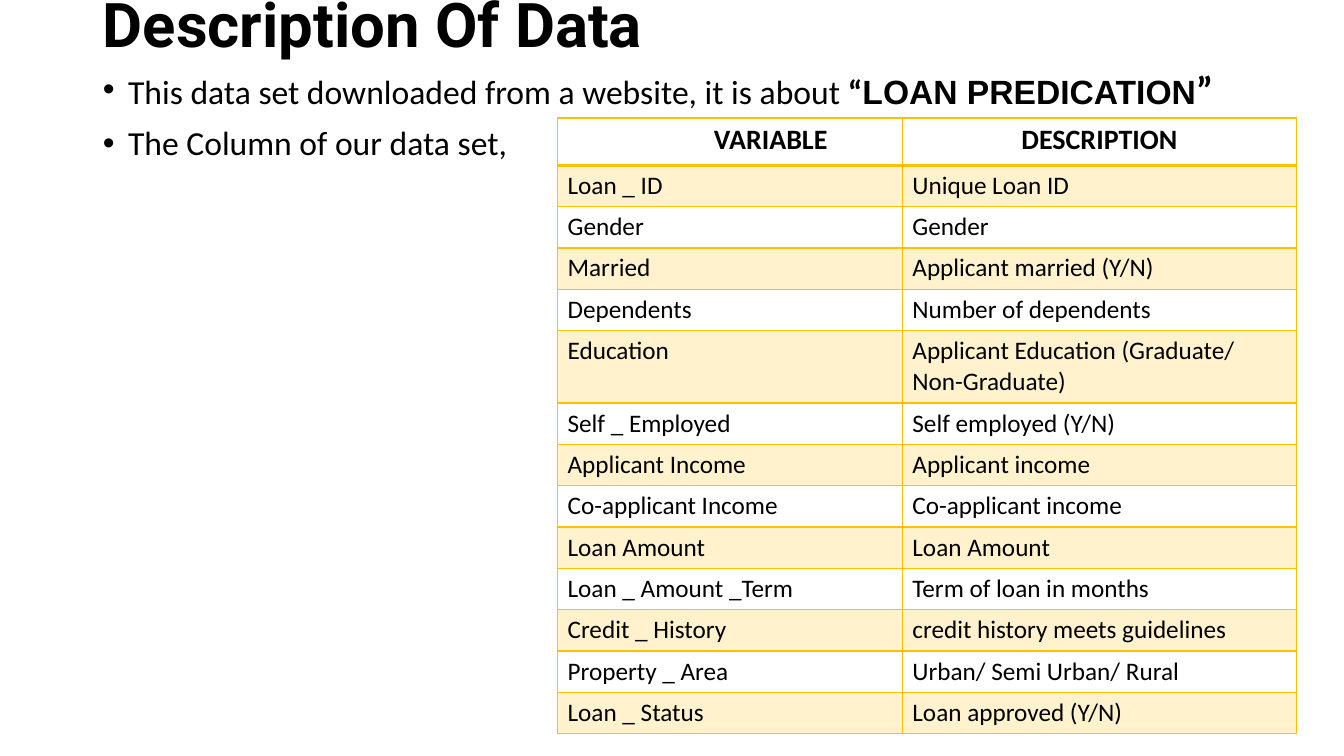
import pptx
import pptx.util
import pptx.dml.color
import pptx.enum.text
import pptx.oxml
import pptx.oxml.ns

Inches, Pt = pptx.util.Inches, pptx.util.Pt
ALIGN = pptx.enum.text.PP_ALIGN
ANCHOR = pptx.enum.text.MSO_ANCHOR
COLORS = {"text": "000000", "border": "FFC000", "band": "FFF2CC"}


def add_run(p, text, size, bold=False, font="Calibri"):
    r = p.add_run()
    r.text = text
    r.font.size = Pt(size)
    r.font.bold = bold
    r.font.name = font
    r.font.color.rgb = pptx.dml.color.RGBColor.from_string(COLORS["text"])


def set_borders(cell, top, bottom):
    tcPr = cell._tc.get_or_add_tcPr()
    widths = {"lnL": 1, "lnR": 1, "lnT": top, "lnB": bottom}
    for i, (side, width) in enumerate(widths.items()):
        tcPr.insert(i, pptx.oxml.parse_xml(
            f'<a:{side} {pptx.oxml.ns.nsdecls("a")} w="{Pt(width)}"><a:solidFill>'
            f'<a:srgbClr val="{COLORS["border"]}"/></a:solidFill></a:{side}>'))


prs = pptx.Presentation()
prs.slide_width, prs.slide_height = Inches(13.33), Inches(7.5)
s = prs.slides.add_slide(prs.slide_layouts[1])
title, body = s.placeholders

# Title and body frames
for sp, top, height, anchor in ((title, -0.11, 0.76, ANCHOR.MIDDLE),
                                (body, 0.65, 6.45, ANCHOR.TOP)):
    sp.left, sp.top = Inches(0.92), Inches(top)
    sp.width, sp.height = Inches(11.5), Inches(height)
    sp.text_frame.auto_size = pptx.enum.text.MSO_AUTO_SIZE.NONE
    sp.text_frame.vertical_anchor = anchor

# Title text
p = title.text_frame.paragraphs[0]
p.alignment = ALIGN.LEFT
p.line_spacing = 0.9
add_run(p, "Description Of Data", 44, True, "Roboto")

# Bulleted list
bullets = [
    [("This data set downloaded from a website, it is about ", 24),
     ("“", 24, True),
     ("LOAN PREDICATION", 24, True, "Arial"),
     ("”", 28, True)],
    [("The Column of our data set,", 24)],
]
tf = body.text_frame
for i, runs in enumerate(bullets):
    p = tf.add_paragraph() if i else tf.paragraphs[0]
    p.line_spacing = 0.9
    p.space_before = Pt(10)
    pPr = p._p.get_or_add_pPr()
    pPr.set("marL", str(Inches(0.25)))
    pPr.set("indent", str(Inches(-0.25)))
    pPr.append(pptx.oxml.parse_xml(
        f'<a:buFont {pptx.oxml.ns.nsdecls("a")} typeface="Arial"/>'))
    pPr.append(pptx.oxml.parse_xml(
        f'<a:buChar {pptx.oxml.ns.nsdecls("a")} char="•"/>'))
    for run in runs:
        add_run(p, *run)

# Variable table
rows = [
    ("VARIABLE", "DESCRIPTION"),
    ("Loan _ ID", "Unique Loan ID"),
    ("Gender", "Gender"),
    ("Married", "Applicant married (Y/N)"),
    ("Dependents", "Number of dependents"),
    ("Education", "Applicant Education (Graduate/ Non-Graduate)"),
    ("Self _ Employed", "Self employed (Y/N)"),
    ("Applicant Income", "Applicant income"),
    ("Co-applicant Income", "Co-applicant income"),
    ("Loan Amount", "Loan Amount"),
    ("Loan _ Amount _Term", "Term of loan in months"),
    ("Credit _ History", "credit history meets guidelines"),
    ("Property _ Area", "Urban/ Semi Urban/ Rural"),
    ("Loan _ Status", "Loan approved (Y/N)"),
]
tall_rows = {0: 0.47, 5: 0.72}
table = s.shapes.add_table(len(rows), 2, Inches(5.53), Inches(1.17),
                           Inches(7.33), Inches(6.14)).table
table.first_row = table.horz_banding = False
for column, width in zip(table.columns, (3.42, 3.91)):
    column.width = Inches(width)

for i, texts in enumerate(rows):
    header = i == 0
    table.rows[i].height = Inches(tall_rows.get(i, 0.41))
    for j, text in enumerate(texts):
        cell = table.cell(i, j)
        if i % 2:
            cell.fill.solid()
            cell.fill.fore_color.rgb = pptx.dml.color.RGBColor.from_string(COLORS["band"])
        else:
            cell.fill.background()
        set_borders(cell, 2 if i == 1 else 1, 2 if header else 1)
        p = cell.text_frame.paragraphs[0]
        p.alignment = ALIGN.CENTER if header else ALIGN.LEFT
        add_run(p, text, 20 if header else 18, header)

# The first heading sits right of its column's centre
table.cell(0, 0).margin_left = Inches(0.91)

prs.save("out.pptx")
